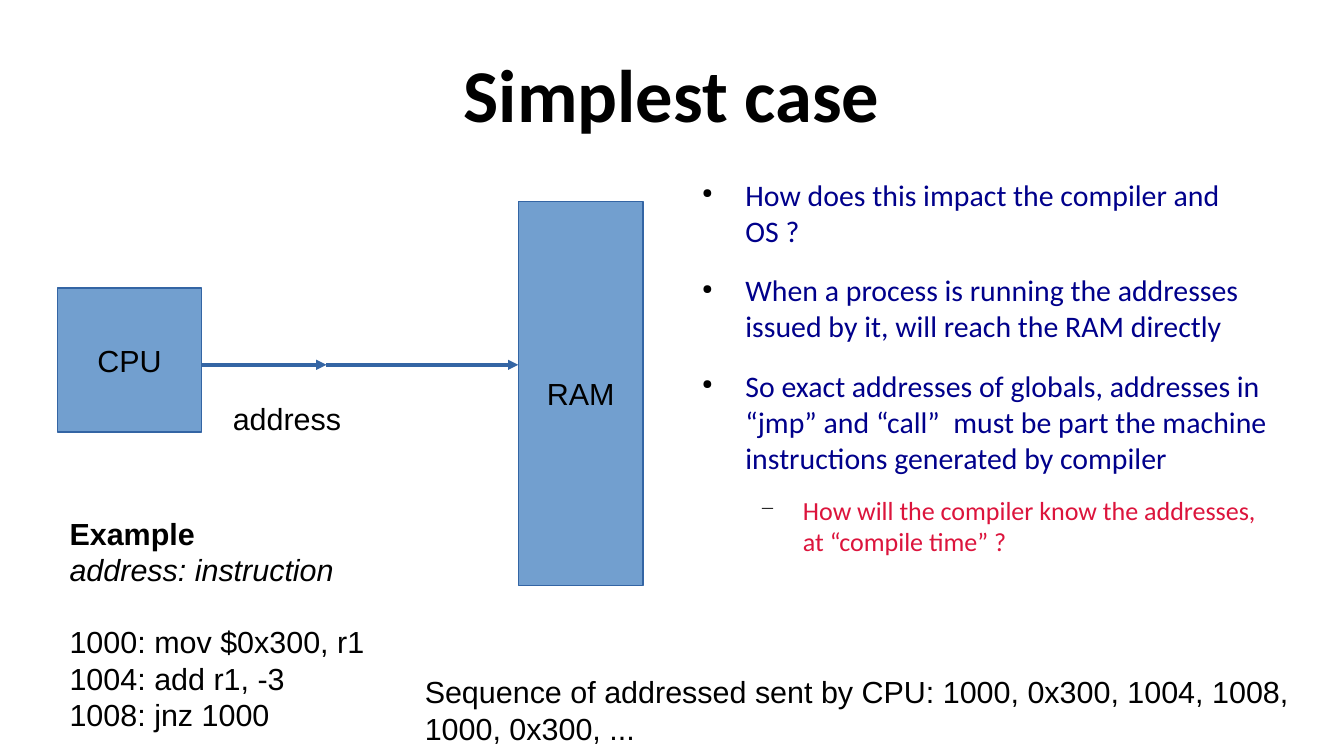
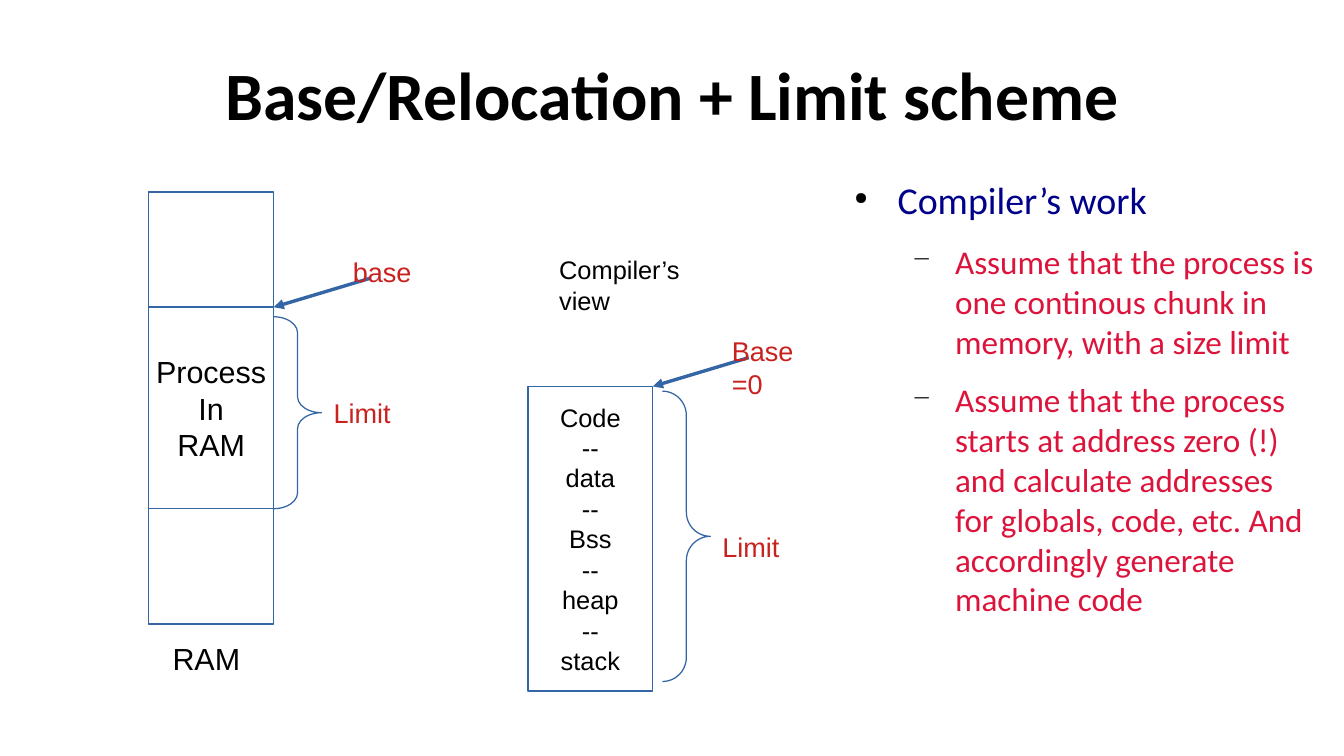
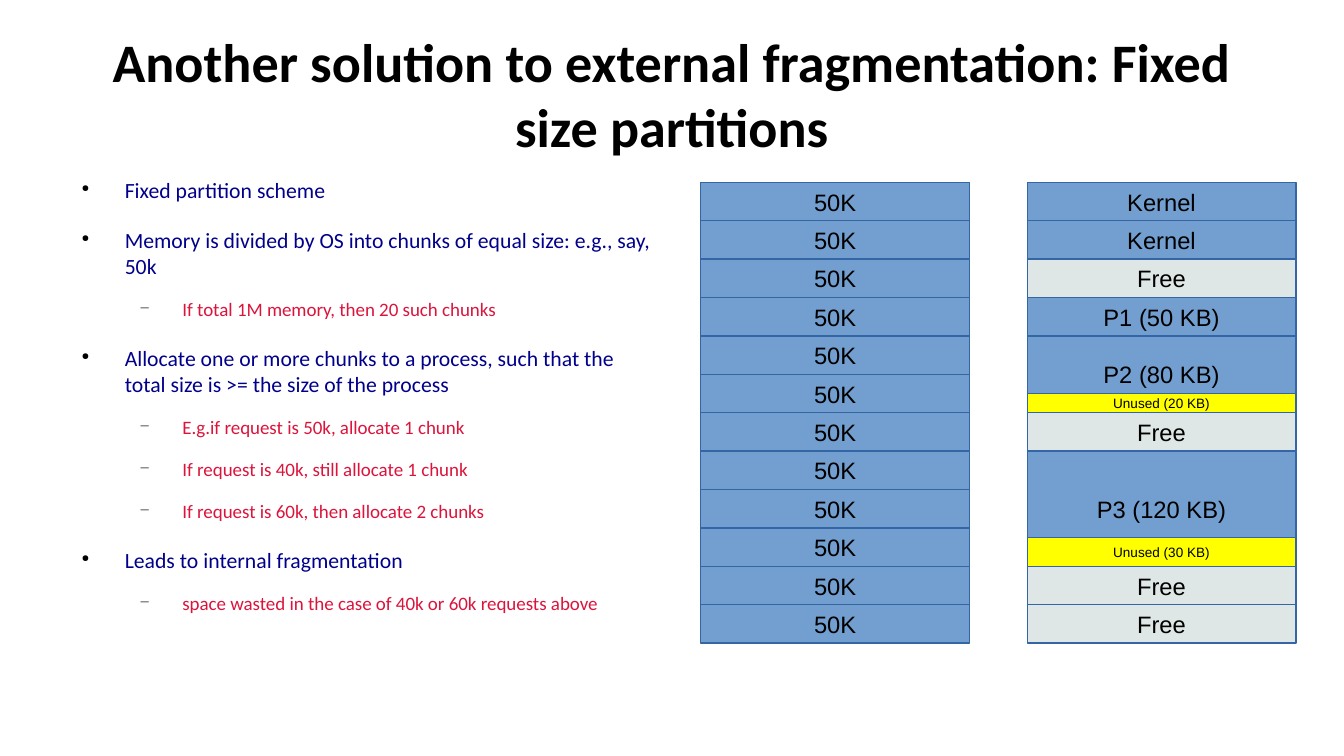
from lxml.etree import SubElement
from pptx import Presentation
from pptx.dml.color import RGBColor
from pptx.enum.shapes import MSO_CONNECTOR, MSO_SHAPE
from pptx.enum.text import MSO_ANCHOR, MSO_AUTO_SIZE, PP_ALIGN
from pptx.oxml.ns import qn
from pptx.util import Cm, Pt

BLACK, NAVY, CRIMSON, RED = "000000", "00008B", "DC143C", "C9211E"
WHITE, BLUE, GREY, YELLOW, EDGE = "FFFFFF", "729FCF", "DEE7E5", "FFFF00", "3465A4"
BODY_FONT, LABEL_FONT = "Calibri", "Arial"
TITLE_BOX = (1.4, 0.4, 25.2, 3.08)
BULLETS = (
    {"char": "●", "percent": 45, "margin": 1.2, "before": 14.2, "color": NAVY},
    {"char": "−", "percent": 75, "margin": 2.4, "before": 11.3, "color": CRIMSON},
)
BULLET_HANG = 0.9
BAR_WIDTH = 2.6


def rgb(value):
    """Turn a hex string into a colour."""
    return RGBColor.from_string(value)


def add_run(p, text, size, color=BLACK, font=LABEL_FONT, bold=False, italic=False):
    """Append a formatted run to a paragraph."""
    r = p.add_run()
    r.text = text
    r.font.name, r.font.size = font, Pt(size)
    r.font.bold, r.font.italic = bold, italic
    r.font.color.rgb = rgb(color)


def paragraphs(tf, count):
    """Return the given number of paragraphs of a text frame."""
    return [tf.paragraphs[0]] + [tf.add_paragraph() for _ in range(count - 1)]


def no_margins(tf):
    """Remove the insets of a text frame."""
    tf.margin_left = tf.margin_right = tf.margin_top = tf.margin_bottom = 0


def add_slide(prs, title, size):
    """Add a slide with the shared title style."""
    s = prs.slides.add_slide(prs.slide_layouts[5])
    sp = s.shapes.title
    sp.left, sp.top, sp.width, sp.height = map(Cm, TITLE_BOX)
    tf = sp.text_frame
    no_margins(tf)
    tf.word_wrap, tf.auto_size = True, MSO_AUTO_SIZE.NONE
    tf.vertical_anchor = MSO_ANCHOR.MIDDLE
    p = tf.paragraphs[0]
    p.alignment = PP_ALIGN.CENTER
    add_run(p, title, size, font=BODY_FONT, bold=True)
    return s


def set_bullet(p, style):
    """Give a paragraph its hanging bullet."""
    pPr = p._p.get_or_add_pPr()
    pPr.set("marL", str(Cm(style["margin"])))
    pPr.set("indent", str(-Cm(BULLET_HANG)))
    SubElement(SubElement(pPr, qn("a:buClr")), qn("a:srgbClr"), val=BLACK)
    SubElement(pPr, qn("a:buSzPct"), val=str(style["percent"] * 1000))
    SubElement(pPr, qn("a:buChar"), char=style["char"])


def add_outline(s, box, sizes, items):
    """Write a two-level bullet list; items are (level, text)."""
    tf = s.shapes.add_textbox(*map(Cm, box)).text_frame
    no_margins(tf)
    tf.word_wrap = True
    for p, (level, text) in zip(paragraphs(tf, len(items)), items):
        style = BULLETS[level]
        p.level = level
        p.space_before = Pt(style["before"])
        set_bullet(p, style)
        add_run(p, text, sizes[level], style["color"], BODY_FONT)


def add_label(s, box, lines, size=18, color=BLACK, align=PP_ALIGN.LEFT):
    """Add a free label with one paragraph per line."""
    tf = s.shapes.add_textbox(*map(Cm, box)).text_frame
    tf.word_wrap = True
    for p, line in zip(paragraphs(tf, len(lines)), lines):
        p.alignment = align
        add_run(p, line, size, color)


def add_block(s, box, lines=(), size=18, fill=BLUE):
    """Add an outlined rectangle with centred text."""
    sp = s.shapes.add_shape(MSO_SHAPE.RECTANGLE, *map(Cm, box))
    sp.shadow.inherit = False
    sp.fill.solid()
    sp.fill.fore_color.rgb = rgb(fill)
    sp.line.color.rgb, sp.line.width = rgb(EDGE), Pt(0)
    tf = sp.text_frame
    tf.word_wrap = False
    tf.vertical_anchor = MSO_ANCHOR.MIDDLE
    if lines:
        for p, line in zip(paragraphs(tf, len(lines)), lines):
            p.alignment = PP_ALIGN.CENTER
            add_run(p, line, size)


def add_arrow(s, start, end):
    """Draw a thin line with an arrowhead at its end."""
    c = s.shapes.add_connector(MSO_CONNECTOR.STRAIGHT, *map(Cm, start + end))
    c.line.color.rgb, c.line.width = rgb(EDGE), Pt(0)
    SubElement(c.line._get_or_add_ln(), qn("a:tailEnd"), type="triangle")
    SubElement(c._element.spPr, qn("a:effectLst"))


def add_base_mark(s, x, y, text):
    """Point a red label at the corner where a process begins."""
    add_arrow(s, (x + 2, y - 0.6), (x, y))
    add_label(s, (x + 1.4, y - 1.2, 1.9, 1.68), [text], 16, RED)


def add_limit_mark(s, x, y, height, label_y):
    """Span a process with a brace and a red label."""
    width = 1
    sp = s.shapes.add_shape(MSO_SHAPE.RIGHT_BRACE, Cm(x), Cm(y), Cm(width), Cm(height))
    sp.shadow.inherit = False
    sp.fill.background()
    sp.line.color.rgb, sp.line.width = rgb(EDGE), Pt(0)
    sp.adjustments[0] = height / width / 12
    add_label(s, (x + width, label_y, 1.9, 1.68), ["Limit"], 16, RED)


def add_cpu_to_ram(s, x, y):
    """Draw the CPU sending an address to the RAM."""
    bus_y = y + 3.4
    add_block(s, (x, y + 1.8, 3, 3), ["CPU"])
    add_block(s, (x + 9.6, y, BAR_WIDTH, 8), ["RAM"])
    stops = [x + 3, x + 5.6, x + 9.6]
    for start, end in zip(stops, stops[1:]):
        add_arrow(s, (start, bus_y), (end, bus_y))
    add_label(s, (x + 3.4, y + 4, 3.2, 0.96), ["address"])


def add_program(s, box):
    """Write the example program under its headings."""
    tf = s.shapes.add_textbox(*map(Cm, box)).text_frame
    tf.word_wrap = True
    lines = [
        ("Example", {"bold": True}),
        ("address: instruction", {"italic": True}),
        ("1000: mov $0x300, r1", {}),
        ("1004: add r1, -3", {}),
        ("1008: jnz 1000", {}),
    ]
    ps = paragraphs(tf, len(lines))
    for p, (text, style) in zip(ps, lines):
        add_run(p, text, 18, **style)
    ps[2].space_before = Pt(20.7)


def add_ram_view(s, x, y):
    """Draw the process inside the RAM with its base and limit."""
    edge, process_h = 2.4, 4.2
    base_y = y + edge
    end_y = base_y + process_h
    add_block(s, (x, y, BAR_WIDTH, edge), fill=WHITE)
    add_block(s, (x, base_y, BAR_WIDTH, process_h), ["Process", "In", "RAM"], fill=WHITE)
    add_block(s, (x, end_y, BAR_WIDTH, edge), fill=WHITE)
    add_label(s, (x - 1.2, end_y + 2.6, 4.8, 0.96), ["RAM"], align=PP_ALIGN.CENTER)
    add_base_mark(s, x + BAR_WIDTH, base_y, "base")
    add_limit_mark(s, x + BAR_WIDTH, base_y + 0.2, process_h - 0.2, base_y + 1.73)


def add_compiler_view(s, x, y):
    """Draw the process as the compiler sees it."""
    sections = ["Code", "--", "data", "--", "Bss", "--", "heap", "--", "stack"]
    add_label(s, (x + 0.4, y - 2.87, 3.1, 1.42), ["Compiler’s", "view"], 15)
    add_block(s, (x, y, BAR_WIDTH, 6.35), sections, 15, WHITE)
    add_base_mark(s, x + BAR_WIDTH, y, "Base =0")
    add_limit_mark(s, x + BAR_WIDTH + 0.2, y + 0.1, 6.05, y + 2.87)


def add_memory_column(s, x, y, parts):
    """Stack partitions; parts are (name, chunks, fill, unused name, unused height)."""
    width, chunk = 5.6, 0.8
    for name, chunks, fill, unused, unused_h in parts:
        height = chunks * chunk
        add_block(s, (x, y, width, height), [name], 14, fill)
        y += height
        if unused:
            add_block(s, (x, y - unused_h, width, unused_h), [unused], 8, YELLOW)


def simplest_case(prs):
    """Build the slide on direct addressing."""
    s = add_slide(prs, "Simplest case", 44)
    add_outline(s, (14.33, 3.68, 12.29, 9.14), (17.6, 15.4), [
        (0, "How does this impact the compiler and OS ?"),
        (0, "When a process is running the addresses issued by it, will reach the RAM directly"),
        (0, "So exact addresses of globals, addresses in “jmp” and “call”  must be part the "
            "machine instructions generated by compiler"),
        (1, "How will the compiler know the addresses, at “compile time” ?"),
    ])
    add_cpu_to_ram(s, 1.2, 4.2)
    add_program(s, (1.2, 10.6, 9, 4.53))
    add_label(s, (8.6, 13.9, 18.8, 1.68), [
        "Sequence of addressed sent by CPU: 1000, 0x300, 1004, 1008, 1000, 0x300, ..."])


def base_and_limit(prs):
    """Build the slide on the base and limit scheme."""
    s = add_slide(prs, "Base/Relocation + Limit scheme", 40)
    add_outline(s, (17.5, 3.68, 9.9, 11.7), (22.4, 19.6), [
        (0, "Compiler’s work"),
        (1, "Assume that the process is one continous chunk in memory, with a size limit"),
        (1, "Assume that the process starts at address zero (!) and calculate addresses for "
            "globals, code, etc. And accordingly generate machine code"),
    ])
    add_ram_view(s, 3.1, 4)
    add_compiler_view(s, 11, 8.05)


def fixed_partitions(prs):
    """Build the slide on fixed size partitions."""
    s = add_slide(prs, "Another solution to external fragmentation: Fixed size partitions", 32)
    add_outline(s, (1.4, 3.68, 12.29, 9.14), (12.8, 11.2), [
        (0, "Fixed partition scheme"),
        (0, "Memory is divided by OS into chunks of equal size: e.g., say, 50k"),
        (1, "If total 1M memory, then 20 such chunks"),
        (0, "Allocate one or more chunks to a process, such that the total size is >= "
            "the size of the process"),
        (1, "E.g.if request is 50k, allocate 1 chunk"),
        (1, "If request is 40k, still allocate 1 chunk"),
        (1, "If request is 60k, then allocate 2 chunks"),
        (0, "Leads to internal fragmentation"),
        (1, "space wasted in the case of 40k or 60k requests above"),
    ])
    kernel = ("Kernel", 1, BLUE, None, 0)
    free = ("Free", 1, GREY, None, 0)
    add_memory_column(s, 14.6, 3.8, [("50K", 1, BLUE, None, 0)] * 12)
    add_memory_column(s, 21.4, 3.8, [
        kernel, kernel, free,
        ("P1 (50 KB)", 1, BLUE, None, 0),
        ("P2 (80 KB)", 2, BLUE, "Unused (20 KB)", 0.4),
        free,
        ("P3 (120 KB)", 3, BLUE, "Unused (30 KB)", 0.6),
        free, free,
    ])


def main():
    """Build and save the presentation."""
    prs = Presentation()
    prs.slide_width, prs.slide_height = Cm(28), Cm(15.75)
    simplest_case(prs)
    base_and_limit(prs)
    fixed_partitions(prs)
    prs.save("out.pptx")


if __name__ == "__main__":
    main()
